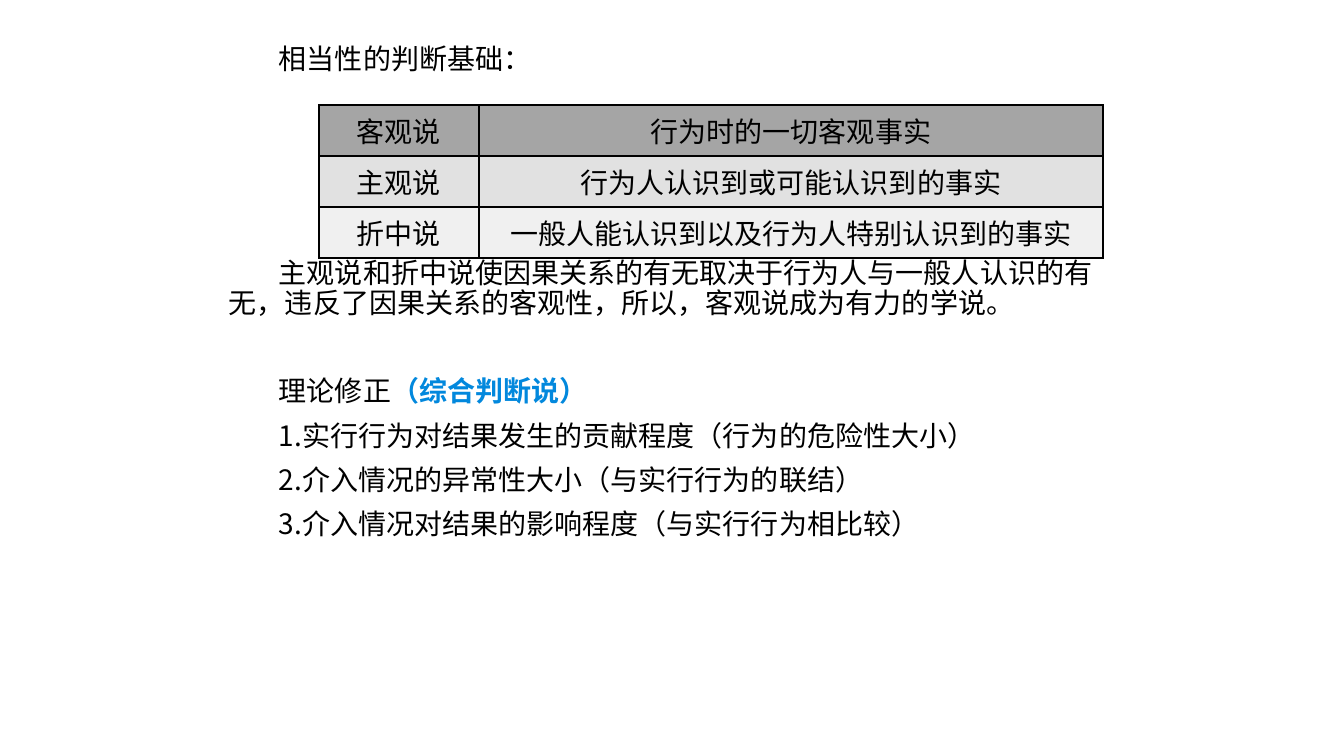
import dataclasses

import pptx
import pptx.dml.color
import pptx.enum.text
import pptx.oxml
import pptx.oxml.ns
import pptx.util


@dataclasses.dataclass(frozen=True)
class Theme:
    font: str = "Noto Sans CJK SC"
    size: int = 20
    line_spacing: float = 0.9
    border_width: int = 1
    ink: str = "000000"
    accent: str = "0288DD"
    row_fills: tuple = ("A5A5A5", "E1E1E1", "F0F0F0")


def px(length):
    return pptx.util.Emu(round(length * 914400 / 100.8))


def rgb(value):
    return pptx.dml.color.RGBColor.from_string(value)


class SlideBuilder:
    def __init__(self, presentation, theme):
        self.theme = theme
        self.slide = presentation.slides.add_slide(presentation.slide_layouts[6])

    def style_paragraph(self, paragraph):
        font = paragraph.font
        font.size = pptx.util.Pt(self.theme.size)
        font.color.rgb = rgb(self.theme.ink)
        font.name = self.theme.font
        properties = paragraph._p.pPr.find(pptx.oxml.ns.qn("a:defRPr"))
        east_asian = pptx.oxml.parse_xml(
            f'<a:ea {pptx.oxml.ns.nsdecls("a")} typeface="{self.theme.font}"/>'
        )
        properties.find(pptx.oxml.ns.qn("a:latin")).addnext(east_asian)

    def add_text(self, left, top, width, height, indent, paragraphs):
        box = self.slide.shapes.add_textbox(px(left), px(top), px(width), px(height))
        frame = box.text_frame
        frame.word_wrap = True
        for index, (space_before, text, emphasis) in enumerate(paragraphs):
            paragraph = frame.add_paragraph() if index else frame.paragraphs[0]
            paragraph.line_spacing = self.theme.line_spacing
            paragraph.space_before = pptx.util.Pt(space_before)
            paragraph._p.get_or_add_pPr().set("indent", str(px(indent)))
            self.style_paragraph(paragraph)
            paragraph.add_run().text = text
            if emphasis:
                run = paragraph.add_run()
                run.text = emphasis
                run.font.bold = True
                run.font.color.rgb = rgb(self.theme.accent)

    def add_borders(self, cell):
        properties = cell._tc.get_or_add_tcPr()
        width = pptx.util.Pt(self.theme.border_width)
        for position, side in enumerate("LRTB"):
            border = pptx.oxml.parse_xml(
                f'<a:ln{side} {pptx.oxml.ns.nsdecls("a")} w="{width}">'
                f'<a:solidFill><a:srgbClr val="{self.theme.ink}"/></a:solidFill>'
                f"</a:ln{side}>"
            )
            properties.insert(position, border)

    def add_table(self, left, top, column_widths, row_height, rows):
        frame = self.slide.shapes.add_table(
            len(rows), len(column_widths), px(left), px(top),
            px(sum(column_widths)), px(row_height * len(rows)),
        )
        table = frame.table
        table.first_row = False
        table.horz_banding = False
        for column, width in zip(table.columns, column_widths):
            column.width = px(width)
        for row, texts, fill in zip(table.rows, rows, self.theme.row_fills):
            row.height = px(row_height)
            for cell, text in zip(row.cells, texts):
                cell.text = text
                cell.fill.solid()
                cell.fill.fore_color.rgb = rgb(fill)
                paragraph = cell.text_frame.paragraphs[0]
                paragraph.alignment = pptx.enum.text.PP_ALIGN.CENTER
                self.style_paragraph(paragraph)
                self.add_borders(cell)


def main():
    presentation = pptx.Presentation()
    presentation.slide_width = px(1344)
    presentation.slide_height = px(756)
    builder = SlideBuilder(presentation, Theme())
    builder.add_text(219, 40, 907, 635, 50, [
        (0, "相当性的判断基础：", ""),
        (131.4, "主观说和折中说使因果关系的有无取决于行为人与一般人认识的有无，"
                "违反了因果关系的客观性，所以，客观说成为有力的学说。", ""),
        (41.4, "理论修正", "（综合判断说）"),
        (10, "1.实行行为对结果发生的贡献程度（行为的危险性大小）", ""),
        (10, "2.介入情况的异常性大小（与实行行为的联结）", ""),
        (10, "3.介入情况对结果的影响程度（与实行行为相比较）", ""),
    ])
    builder.add_table(319, 105, (160, 624), 51, [
        ("客观说", "行为时的一切客观事实"),
        ("主观说", "行为人认识到或可能认识到的事实"),
        ("折中说", "一般人能认识到以及行为人特别认识到的事实"),
    ])
    presentation.save("out.pptx")


if __name__ == "__main__":
    main()
